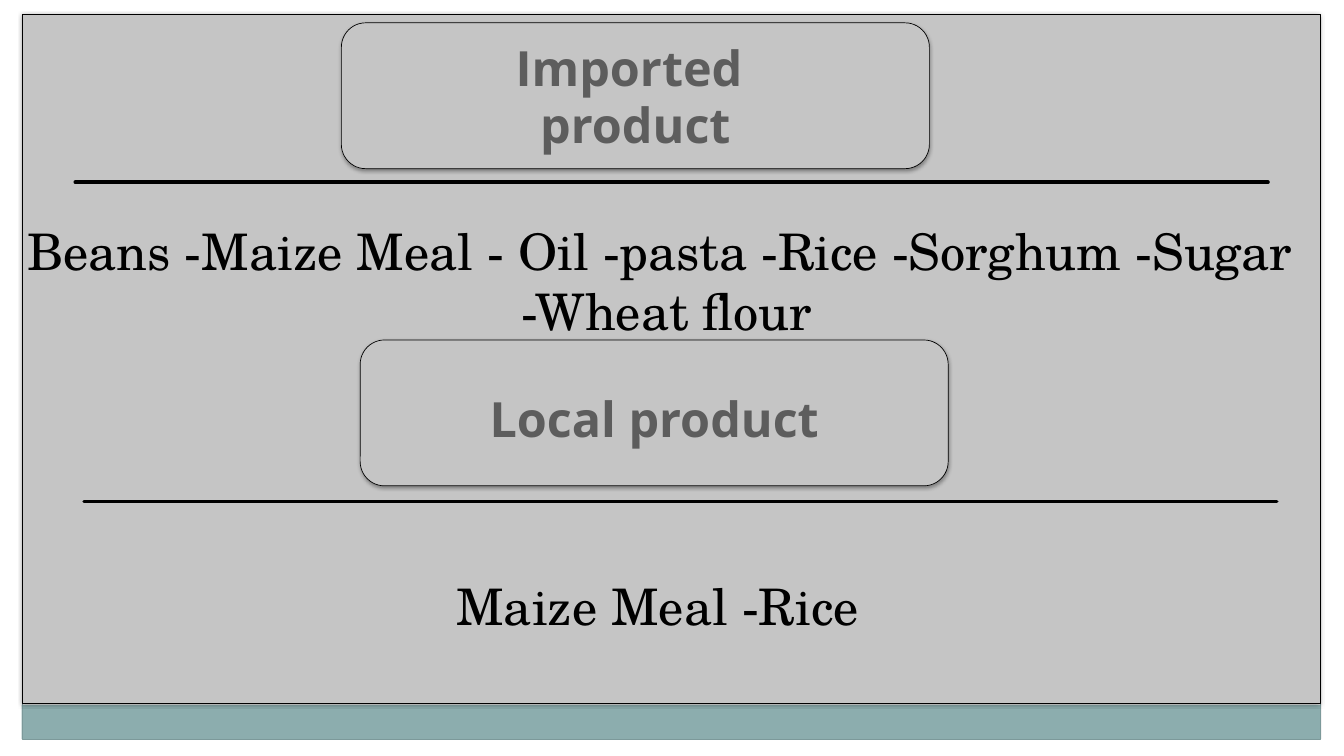
"""Build a slide listing imported and local food products."""
from dataclasses import dataclass

from lxml import etree
from pptx import Presentation
from pptx.dml.color import RGBColor
from pptx.enum.shapes import MSO_CONNECTOR, MSO_SHAPE
from pptx.enum.text import MSO_ANCHOR, PP_ALIGN
from pptx.oxml.ns import qn
from pptx.util import Inches, Pt

RECTANGLE = MSO_SHAPE.RECTANGLE
ROUNDED = MSO_SHAPE.ROUNDED_RECTANGLE
STRAIGHT = MSO_CONNECTOR.STRAIGHT
CENTER = PP_ALIGN.CENTER
MIDDLE = MSO_ANCHOR.MIDDLE
BOTTOM = MSO_ANCHOR.BOTTOM


@dataclass(frozen=True)
class Theme:
    background: RGBColor = RGBColor(0xF1, 0xF1, 0xF1)
    margin: RGBColor = RGBColor(0xFF, 0xFF, 0xFF)
    footer: RGBColor = RGBColor(0x8C, 0xAD, 0xAE)
    frame: RGBColor = RGBColor(0x7C, 0x99, 0x9A)
    panel: RGBColor = RGBColor(0xC5, 0xC5, 0xC5)
    ink: RGBColor = RGBColor(0, 0, 0)
    heading: RGBColor = RGBColor(0x5D, 0x5D, 0x5D)
    heading_font: str = "Open Sans"
    body_font: str = "TeX Gyre Schola"
    heading_size: Pt = Pt(52)
    body_size: Pt = Pt(54)
    thin: Pt = Pt(0.75)
    thick: Pt = Pt(3.75)


theme = Theme()


def add_box(kind, bounds, fill=None, line=None, shadow=False):
    """Add a preset shape with an optional fill, outline and soft shadow."""
    shape = slide.shapes.add_shape(kind, *map(Inches, bounds))
    shape.shadow.inherit = False
    if fill is None:
        shape.fill.background()
    else:
        shape.fill.solid()
        shape.fill.fore_color.rgb = fill
    if line is None:
        shape.line.fill.background()
    else:
        shape.line.color.rgb = line
        shape.line.width = theme.thin
    if shadow:
        effects = shape._element.spPr.find(qn("a:effectLst"))
        outer = etree.SubElement(effects, qn("a:outerShdw"), blurRad=str(Pt(4)),
                                 dist=str(Pt(2)), dir="5400000", rotWithShape="0")
        color = etree.SubElement(outer, qn("a:srgbClr"), val=str(theme.ink))
        etree.SubElement(color, qn("a:alpha"), val="35000")
    return shape


def write_lines(shape, lines, anchor, font, size, color, bold, spacing):
    """Write centred paragraphs into a shape."""
    frame = shape.text_frame
    frame.word_wrap = True
    frame.vertical_anchor = anchor
    for index, line in enumerate(lines):
        paragraph = frame.paragraphs[0] if index == 0 else frame.add_paragraph()
        paragraph.alignment = CENTER
        if spacing:
            paragraph.line_spacing = Pt(spacing)
        run = paragraph.add_run()
        run.text = line
        run.font.name = font
        run.font.size = size
        run.font.bold = bold
        run.font.color.rgb = color


presentation = Presentation()
presentation.slide_width = Inches(20)
presentation.slide_height = Inches(11.25)
slide = presentation.slides.add_slide(presentation.slide_layouts[6])
slide.background.fill.solid()
slide.background.fill.fore_color.rgb = theme.background

for margin in ((0, 11, 20, 0.25), (0, 0, 20, 0.26),
               (19.67, 0, 0.33, 11.25), (0, 0, 0.33, 11.25)):
    add_box(RECTANGLE, margin, theme.margin)
add_box(RECTANGLE, (0.32, 10.49, 19.32, 0.51), theme.footer)
add_box(RECTANGLE, (0.33, 0.26, 19.32, 10.74), line=theme.frame)
add_box(RECTANGLE, (0.33, 0.21, 19.32, 10.25), theme.panel, theme.ink, shadow=True)

product_lists = (
    ((0, 1.43, 19.84, 3.64), None,
     ("Beans -Maize Meal - Oil -pasta -Rice -Sorghum -Sugar ", "-Wheat flour")),
    ((0, 6.39, 19.57, 3.07), 72.8, ("Maize Meal -Rice",)),
)
for bounds, spacing, lines in product_lists:
    text_box = slide.shapes.add_textbox(*map(Inches, bounds))
    frame = text_box.text_frame
    frame.margin_left = frame.margin_right = frame.margin_top = frame.margin_bottom = 0
    write_lines(text_box, lines, BOTTOM, theme.body_font, theme.body_size,
                theme.ink, False, spacing)

headings = (
    ((5.08, 0.34), 62, ("Imported ", "product")),
    ((5.36, 5.06), 72.8, ("Local product",)),
)
for (left, top), spacing, lines in headings:
    heading = add_box(ROUNDED, (left, top, 8.75, 2.17), theme.panel, theme.ink, shadow=True)
    write_lines(heading, lines, MIDDLE, theme.heading_font, theme.heading_size,
                theme.heading, True, spacing)

for left, top in ((1.12, 2.71), (1.25, 7.46)):
    rule = slide.shapes.add_connector(
        STRAIGHT, Inches(left), Inches(top), Inches(left + 17.75), Inches(top))
    rule.line.color.rgb = theme.ink
    rule.line.width = theme.thick
    properties = rule._element.spPr
    properties.find(qn("a:ln")).set("cap", "rnd")
    etree.SubElement(properties, qn("a:effectLst"))

presentation.save("out.pptx")
